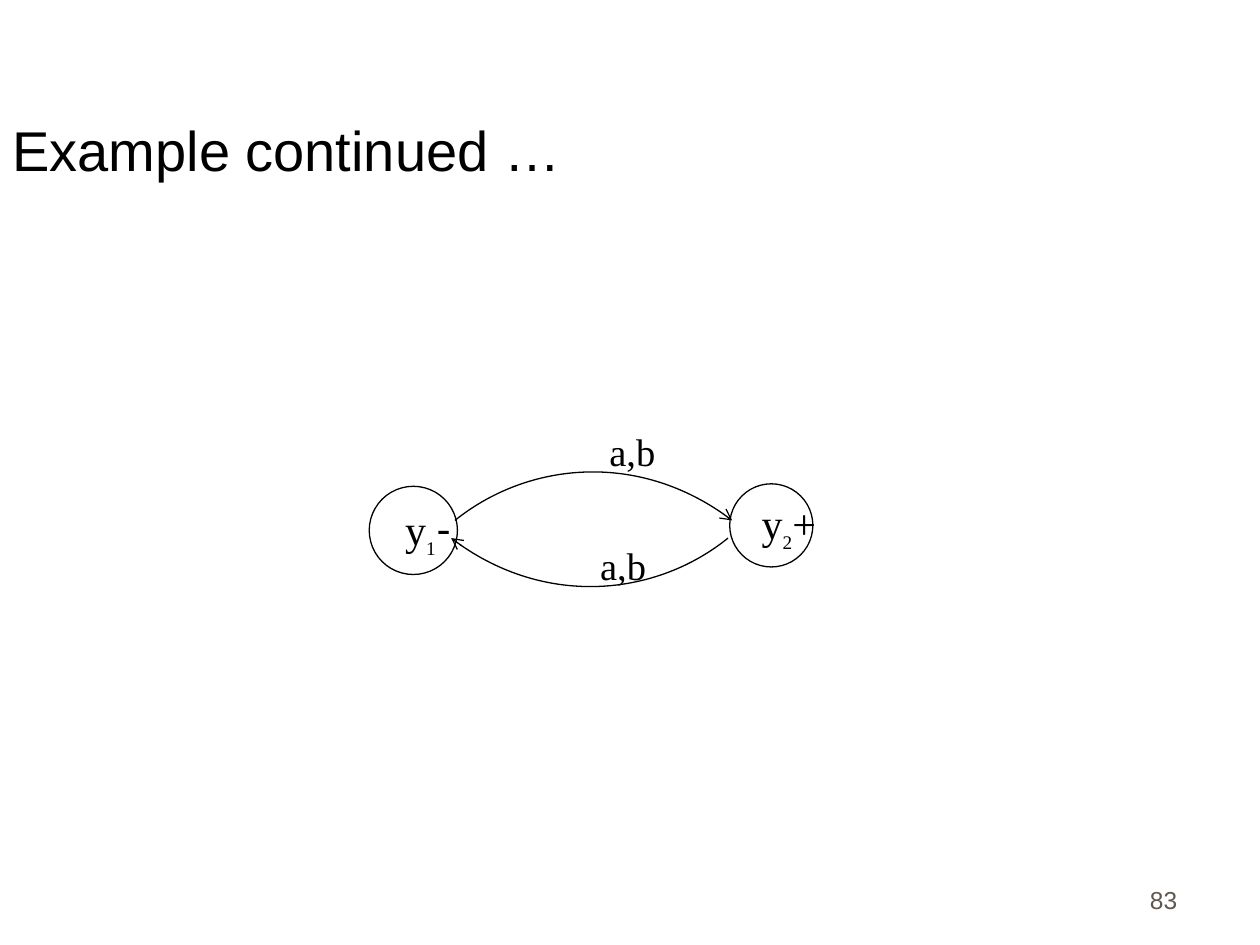
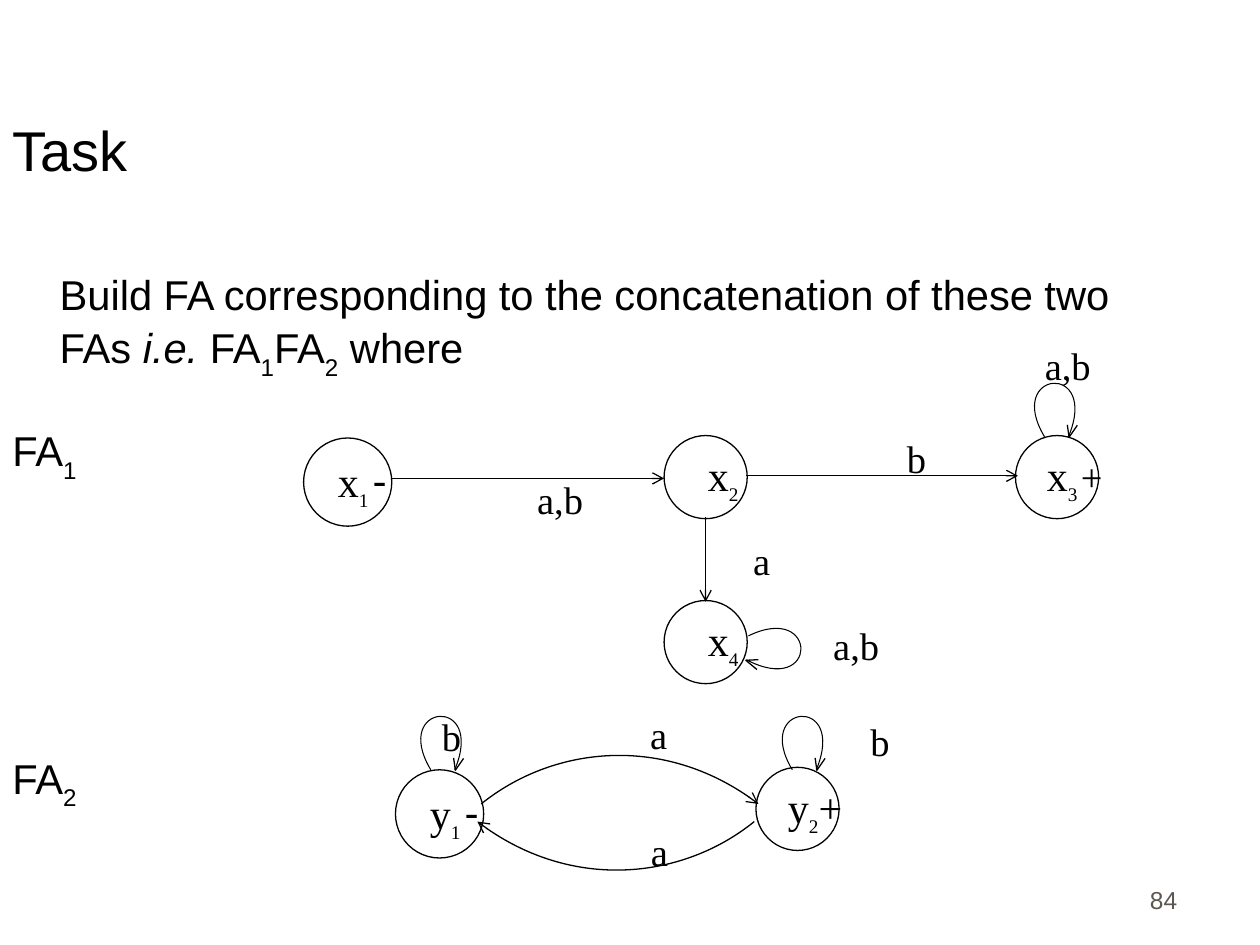
from dataclasses import dataclass
from math import cos, radians, sin

from pptx import Presentation
from pptx.dml.color import RGBColor
from pptx.enum.shapes import MSO_CONNECTOR as Connector, MSO_SHAPE as Shape
from pptx.enum.text import MSO_ANCHOR as Anchor, PP_ALIGN as Align
from pptx.oxml.ns import qn
from pptx.oxml.xmlchemy import OxmlElement
from pptx.util import Pt


@dataclass(frozen=True)
class Theme:
    ink: RGBColor = RGBColor(0, 0, 0)
    paper: RGBColor = RGBColor(255, 255, 255)
    number: RGBColor = RGBColor(0x5E, 0x57, 0x4E)
    sans: str = "Arial"
    serif: str = "Times New Roman"
    minus: str = "Lato"
    title_size: float = 32
    body_size: float = 23.8
    number_size: float = 14
    state_size: float = 24
    index_size: float = 19
    gap_size: float = 13
    edge_size: float = 22
    stroke: float = 0.75
    loop_stroke: float = 0.6


THEME = Theme()
START_DIAMETER, DIAMETER = 50.4, 47.5
LOOP_CURVE = [(0, 0), (-23, -38.2), (31.7, -43.2), (13.7, 0)]
LOOP_HEAD = [(18.7, -6.5), (14, 0.3), (13, -6.8)]


def add_span(para, text, size, face=THEME.sans, color=THEME.ink, low=False, **formats):
    span = para.add_run()
    span.text = text
    formats = {"size": Pt(size), "name": face, **formats}
    for name, value in formats.items():
        setattr(span.font, name, value)
    span.font.color.rgb = color
    if low:
        span.font._element.set("baseline", "-30000")


def add_box(page, left, top, width, height, align=Align.LEFT, anchor=Anchor.TOP):
    """Add a wrapping text box and return its first paragraph and its frame."""
    box = page.shapes.add_textbox(Pt(left), Pt(top), Pt(width), Pt(height))
    frame = box.text_frame
    frame.word_wrap = True
    frame.vertical_anchor = anchor
    para = frame.paragraphs[0]
    para.alignment = align
    return para, frame


def stroke(item, width=THEME.stroke, arrow=False):
    item.line.color.rgb = THEME.ink
    item.line.width = Pt(width)
    if arrow:
        head = OxmlElement("a:tailEnd")
        head.set("type", "arrow")
        item.line._get_or_add_ln().append(head)


def add_path(page, points, width=THEME.stroke, arrow=False):
    """Draw an open, unfilled path through the points."""
    first, *rest = [(Pt(x), Pt(y)) for x, y in points]
    builder = page.shapes.build_freeform(*first)
    builder.add_line_segments(rest, close=False)
    path = builder.convert_to_shape()
    path.shadow.inherit = False
    path.fill.background()
    stroke(path, width, arrow)
    return path


def add_curve(page, points, width=THEME.stroke, arrow=False):
    """Draw one cubic curve: start, two control points, end."""
    curve = add_path(page, points, width, arrow)
    bezier = OxmlElement("a:cubicBezTo")
    segments = list(curve._element.iter(qn("a:lnTo")))
    segments[0].addprevious(bezier)
    for segment in segments:
        bezier.append(segment[0])
        segment.getparent().remove(segment)


def shift(points, left, top, turn=0):
    """Turn the points clockwise by degrees, then move them."""
    c, s = cos(radians(turn)), sin(radians(turn))
    return [(left + x * c - y * s, top + x * s + y * c) for x, y in points]


def add_loop(page, left, top, turn=0):
    add_curve(page, shift(LOOP_CURVE, left, top, turn), THEME.loop_stroke)
    add_path(page, shift(LOOP_HEAD, left, top, turn))


def add_arrow(page, start, end):
    ends = [Pt(value) for value in (*start, *end)]
    arrow = page.shapes.add_connector(Connector.STRAIGHT, *ends)
    arrow._element.spPr.append(OxmlElement("a:effectLst"))
    stroke(arrow, arrow=True)


def add_edge_label(page, left, top, text):
    para, _ = add_box(page, left, top, 72.7, 29.5, Align.CENTER)
    add_span(para, text, THEME.edge_size, THEME.serif)


def add_state(page, left, top, letter, index, sign="", spaced=False,
              sign_size=THEME.state_size):
    """Draw a state; the start state, marked with a minus, is a little larger."""
    start = sign == "-"
    diameter = START_DIAMETER if start else DIAMETER
    circle = page.shapes.add_shape(
        Shape.OVAL, Pt(left), Pt(top), Pt(diameter), Pt(diameter))
    circle.shadow.inherit = False
    circle.fill.solid()
    circle.fill.fore_color.rgb = THEME.paper
    stroke(circle)
    label_top = top + (6.5 if start else 4.4)
    para, _ = add_box(page, left + 5, label_top, 57.6, 33, Align.CENTER)
    add_span(para, letter, THEME.state_size, THEME.serif)
    add_span(para, index, THEME.index_size, THEME.serif, low=True)
    if spaced:
        add_span(para, " ", THEME.gap_size, THEME.serif, low=True)
    if sign:
        add_span(para, sign, sign_size, THEME.minus if start else THEME.serif)


def draw_two_state_automaton(page, left, top, edge, lower_label, spaced=False):
    add_state(page, left + 206, top + 36, "y", "2", "+")
    add_state(page, left, top + 37.4, "y", "1", "-", spaced)
    lower = [(205, 67), (165, 99.4), (99.4, 107.3), (46.8, 67)]
    upper = [(49, 56.9), (89.3, 24.5), (154.8, 16.6), (207.4, 56.9)]
    for arc in (lower, upper):
        add_curve(page, shift(arc, left, top), arrow=True)
    for x, y in ((114, 0.5), lower_label):
        add_edge_label(page, left + x, top + y, edge)


def draw_four_state_automaton(page, left, top):
    add_state(page, left, top + 58.3, "x", "1", "-", True)
    add_state(page, left + 206, top + 56.9, "x", "2")
    add_state(page, left + 406.8, top + 56.9, "x", "3", "+", True, THEME.edge_size)
    add_state(page, left + 206, top + 151.2, "x", "4")
    for ends in (
        [(49.7, 81.4), (206, 81.4)],
        [(252.7, 79.9), (408.2, 79.9)],
        [(229.7, 103.7), (229.7, 151.9)],
    ):
        add_arrow(page, *shift(ends, left, top))
    add_loop(page, left + 423.4, top + 57.6)
    add_loop(page, left + 254.2, top + 171.4, turn=95)
    for x, y, text in (
        (400.3, 0, "a,b"), (313.9, 53.3, "b"), (110.2, 76.3, "a,b"),
        (279.4, 159.8, "a,b"), (225.4, 111.6, "a"),
    ):
        add_edge_label(page, left + x, top + y, text)


def draw_task_text(page, left, top, width, height):
    para, frame = add_box(page, left, top, width, height)
    para._p.get_or_add_pPr().set("marL", str(Pt(27)))
    lead = "Build FA corresponding to the concatenation of these two FAs "
    for text, formats in (
        (lead, {}), ("i.e. ", {"italic": True}), ("FA", {}), ("1", {"low": True}),
        ("FA", {}), ("2", {"low": True}), (" where", {}),
    ):
        add_span(para, text, THEME.body_size, **formats)
    for index, gap in (("1", 23.2), ("2", 151.2)):
        name = frame.add_paragraph()
        name.space_before = Pt(gap)
        add_span(name, "FA", THEME.body_size)
        add_span(name, index, THEME.body_size, low=True)
    for item in frame.paragraphs:
        item.line_spacing = 1.06


def new_page(deck, title, number):
    page = deck.slides.add_slide(deck.slide_layouts[6])
    para, _ = add_box(page, 530, 490.3, 149.8, 36, Align.RIGHT, Anchor.BOTTOM)
    add_span(para, str(number), THEME.number_size, color=THEME.number)
    para, _ = add_box(page, 0, 18, 612, 90, anchor=Anchor.BOTTOM)
    add_span(para, title, THEME.title_size)
    return page


def build_example(deck):
    page = new_page(deck, "Example continued …", 83)
    draw_two_state_automaton(page, 211, 240.5, "a,b", (108.7, 65.5))


def build_task(deck):
    page = new_page(deck, "Task", 84)
    draw_task_text(page, 0, 148.3, 643.7, 328.3)
    draw_four_state_automaton(page, 173.5, 192)
    left, top = 226, 402.5
    draw_two_state_automaton(page, left, top, "a", (114.5, 67), spaced=True)
    for x in (20.2, 226.8):
        add_loop(page, left + x, top + 37.4)
    for x, y in ((240.5, 4.3), (-4.3, 1.4)):
        add_edge_label(page, left + x, top + y, "b")


def main():
    deck = Presentation()
    deck.slide_width, deck.slide_height = Pt(720), Pt(540)
    build_example(deck)
    build_task(deck)
    deck.save("out.pptx")


if __name__ == "__main__":
    main()
